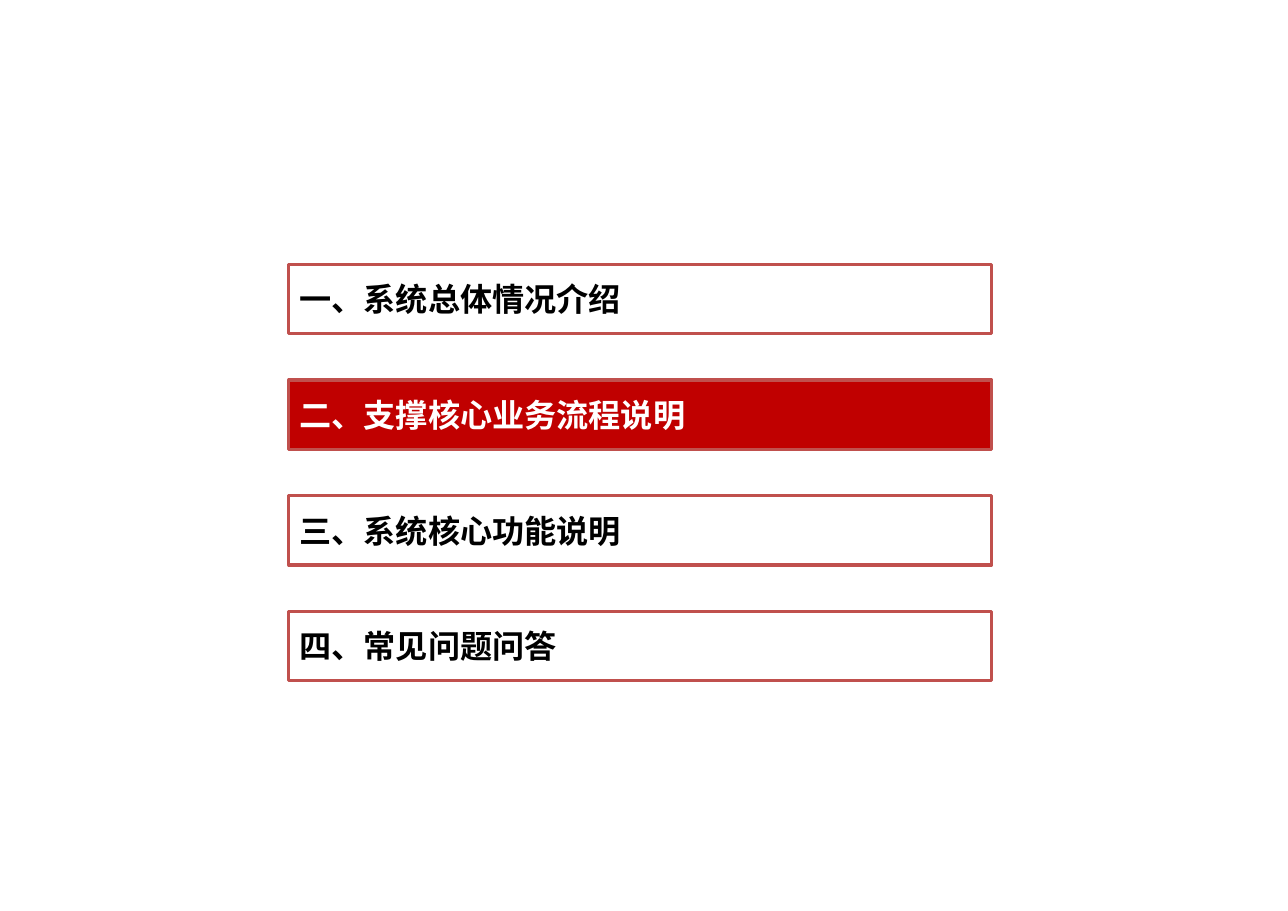
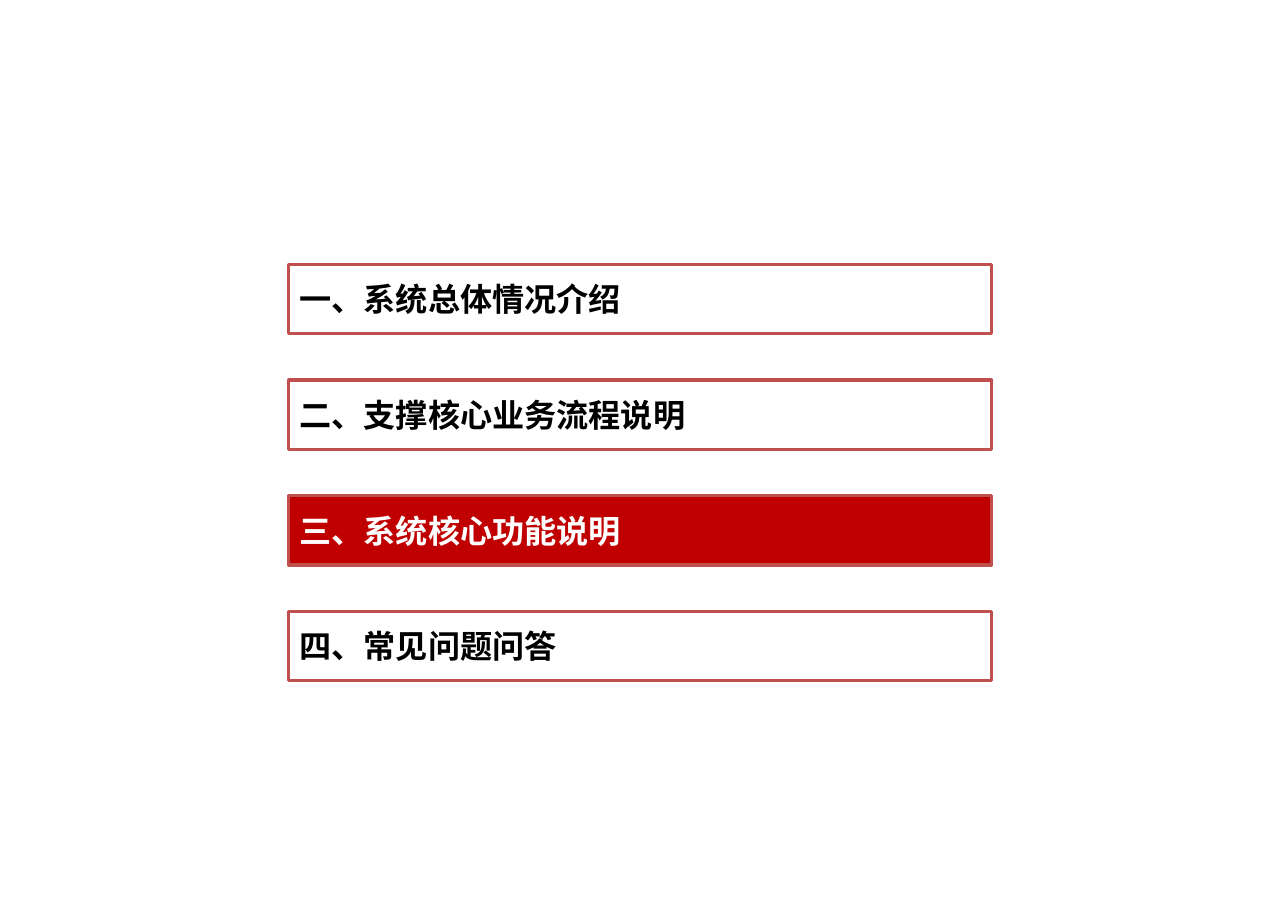
"""Build two agenda slides, each highlighting the current section."""
from lxml.etree import SubElement
from pptx import Presentation
from pptx.dml.color import RGBColor
from pptx.enum.shapes import MSO_SHAPE
from pptx.enum.text import MSO_ANCHOR, PP_ALIGN
from pptx.oxml.ns import qn
from pptx.util import Inches, Pt

COLORS = {"active": "C00000", "border": "C0504D", "text": "000000", "active_text": "FFFFFF"}
FONT = {"name": "Noto Sans CJK SC", "size": Pt(21), "bold": True}
SECTIONS = ["一、系统总体情况介绍", "二、支撑核心业务流程说明", "三、系统核心功能说明", "四、常见问题问答"]
ACTIVE_SECTIONS = [1, 2]
LEFT, TOP, WIDTH, HEIGHT, PITCH = 2.62, 2.4, 6.38, 0.63, 1.05


def rgb(key):
    return RGBColor.from_string(COLORS[key])


prs = Presentation()
prs.slide_width, prs.slide_height = Inches(11.69), Inches(8.27)

for active in ACTIVE_SECTIONS:
    s = prs.slides.add_slide(prs.slide_layouts[6])
    for row, title in enumerate(SECTIONS):
        box = [Inches(v) for v in (LEFT, TOP + row * PITCH, WIDTH, HEIGHT)]
        sp = s.shapes.add_shape(MSO_SHAPE.RECTANGLE, *box)
        sp.shadow.inherit = False
        sp.line.color.rgb = rgb("border")
        sp.line.width = Pt(2)
        if row == active:
            sp.fill.solid()
            sp.fill.fore_color.rgb = rgb("active")
        else:
            sp.fill.background()

        tf = sp.text_frame
        tf.word_wrap = True
        tf.vertical_anchor = MSO_ANCHOR.MIDDLE
        p = tf.paragraphs[0]
        p.alignment = PP_ALIGN.LEFT
        r = p.add_run()
        r.text = title
        for attr, value in FONT.items():
            setattr(r.font, attr, value)
        r.font.color.rgb = rgb("active_text" if row == active else "text")
        SubElement(r.font._element, qn("a:ea"), typeface=FONT["name"])

prs.save("out.pptx")
